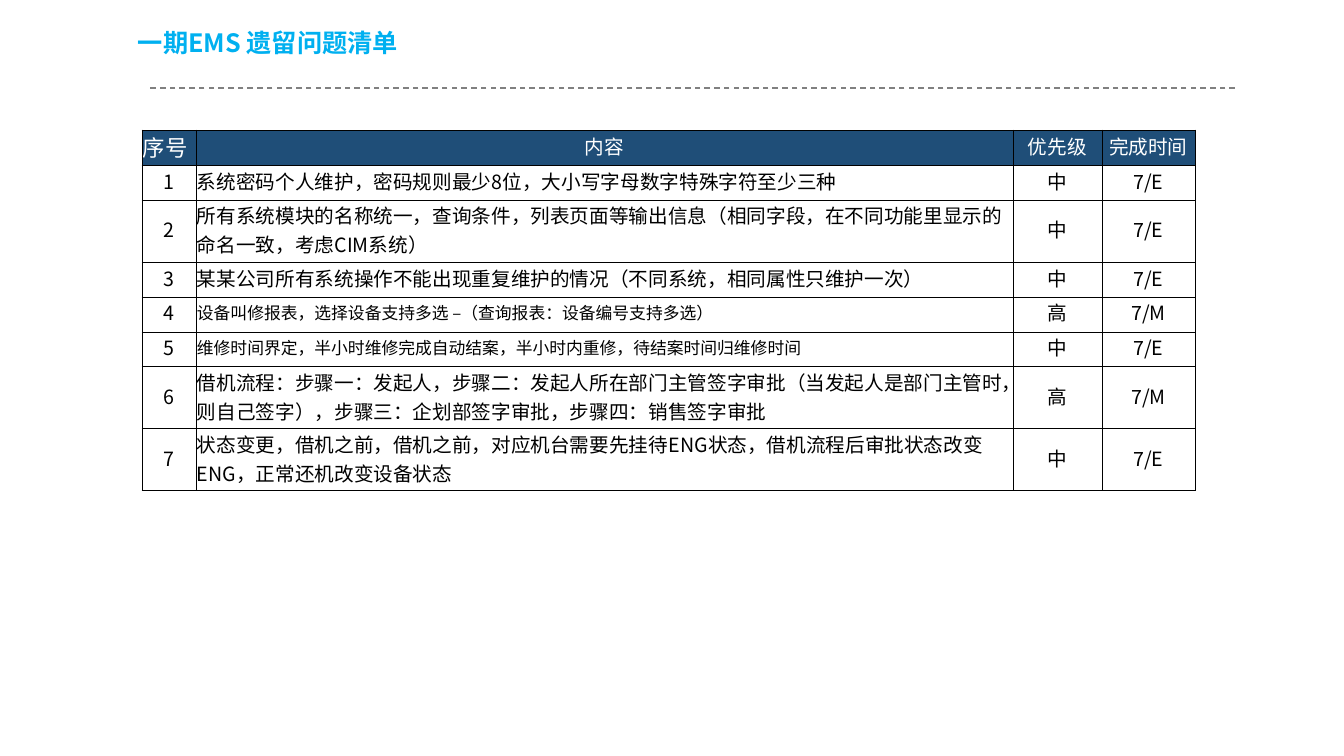
from pptx import Presentation
from pptx import util as u
from pptx.dml.color import RGBColor
from pptx.enum import dml, shapes, text
from pptx.oxml import parse_xml
from pptx.oxml.ns import nsdecls
from pptx.oxml.xmlchemy import OxmlElement

PX = 914400 / 100.8
FONT = "Noto Sans CJK SC"
WHITE = RGBColor(0xFF, 0xFF, 0xFF)
BLACK = RGBColor(0x00, 0x00, 0x00)
NAVY = RGBColor(0x1F, 0x4E, 0x78)
SKY = RGBColor(0x00, 0xB0, 0xF0)
GREY = RGBColor(0x80, 0x80, 0x80)

COLUMNS = [54, 817, 89, 93]
HEADER = ["序号", "内容", "优先级", "完成时间"]
# content, priority, due, content size in points, row height in px
ISSUES = [
    ("系统密码个人维护，密码规则最少8位，大小写字母数字特殊字符至少三种", "中", "7/E", 14, 35),
    ("所有系统模块的名称统一，查询条件，列表页面等输出信息（相同字段，在不同功能里显示的"
     "命名一致，考虑CIM系统）", "中", "7/E", 14, 62),
    ("某某公司所有系统操作不能出现重复维护的情况（不同系统，相同属性只维护一次）", "中", "7/E", 14, 35),
    ("设备叫修报表，选择设备支持多选 –（查询报表：设备编号支持多选）", "高", "7/M", 12, 35),
    ("维修时间界定，半小时维修完成自动结案，半小时内重修，待结案时间归维修时间", "中", "7/E", 12, 35),
    ("借机流程：步骤一：发起人，步骤二：发起人所在部门主管签字审批（当发起人是部门主管时，"
     "则自己签字），步骤三：企划部签字审批，步骤四：销售签字审批", "高", "7/M", 14, 62),
    ("状态变更，借机之前，借机之前，对应机台需要先挂待ENG状态，借机流程后审批状态改变"
     "ENG，正常还机改变设备状态", "中", "7/E", 14, 62),
]


def px(n):
    return u.Emu(round(n * PX))


def set_attrs(obj, values):
    for name, value in values.items():
        setattr(obj, name, value)


def write(p, content, size, color, bold=False, **paragraph):
    set_attrs(p, paragraph)
    r = p.add_run()
    r.text = content
    set_attrs(r.font, {"name": FONT, "size": u.Pt(size), "bold": bold})
    r.font.color.rgb = color
    east_asian = OxmlElement("a:ea")
    east_asian.set("typeface", FONT)
    r.font._element.append(east_asian)


def add_title(slide, x, y, w, h):
    tf = slide.shapes.add_textbox(px(x), px(y), px(w), px(h)).text_frame
    set_attrs(tf, {"word_wrap": True, "vertical_anchor": text.MSO_ANCHOR.MIDDLE})
    write(tf.paragraphs[0], "一期EMS 遗留问题清单", 18, SKY, True, line_spacing=0.9)


def add_divider(slide, x, y, w):
    line = slide.shapes.add_connector(
        shapes.MSO_CONNECTOR.STRAIGHT, px(x + w), px(y), px(x), px(y))
    set_attrs(line.line, {"width": u.Pt(1), "dash_style": dml.MSO_LINE.DASH})
    line.line.color.rgb = GREY
    line._element.spPr.append(OxmlElement("a:effectLst"))


def add_borders(cell):
    tc_pr = cell._tc.get_or_add_tcPr()
    for i, side in enumerate(("lnL", "lnR", "lnT", "lnB")):
        tc_pr.insert(i, parse_xml(
            f'<a:{side} {nsdecls("a")} w="{u.Pt(0.5)}"><a:solidFill>'
            f'<a:srgbClr val="{BLACK}"/></a:solidFill></a:{side}>'))


def fill_cell(cell, content, size, color, fill, align):
    set_attrs(cell, {"margin_left": px(1), "margin_right": px(1),
                     "margin_top": px(1), "margin_bottom": px(5),
                     "vertical_anchor": text.MSO_ANCHOR.MIDDLE})
    cell.fill.solid()
    cell.fill.fore_color.rgb = fill
    add_borders(cell)
    write(cell.text_frame.paragraphs[0], content, size, color, alignment=align)


def add_issue_table(slide, x, y):
    left, center = text.PP_ALIGN.LEFT, text.PP_ALIGN.CENTER
    heights = [35] + [issue[-1] for issue in ISSUES]
    table = slide.shapes.add_table(
        len(heights), len(COLUMNS), px(x), px(y), px(sum(COLUMNS)), px(sum(heights))).table
    set_attrs(table, {"first_row": False, "horz_banding": False})
    for column, width in zip(table.columns, COLUMNS):
        column.width = px(width)
    for row, height in zip(table.rows, heights):
        row.height = px(height)

    for c, label in enumerate(HEADER):
        fill_cell(table.cell(0, c), label, 14 if c else 16, WHITE, NAVY,
                  center if c else left)
    for n, (content, priority, due, size, _) in enumerate(ISSUES, 1):
        for c, value in enumerate((str(n), content, priority, due)):
            is_content = c == 1
            fill_cell(table.cell(n, c), value, size if is_content else 14,
                      BLACK, WHITE, left if is_content else center)


def main():
    prs = Presentation()
    set_attrs(prs, {"slide_width": px(1344), "slide_height": px(756)})
    slide = prs.slides.add_slide(prs.slide_layouts[6])
    add_divider(slide, 149, 88, 1086)
    add_title(slide, 128, 10, 431, 68)
    add_issue_table(slide, 142, 130)
    prs.save("out.pptx")


if __name__ == "__main__":
    main()
